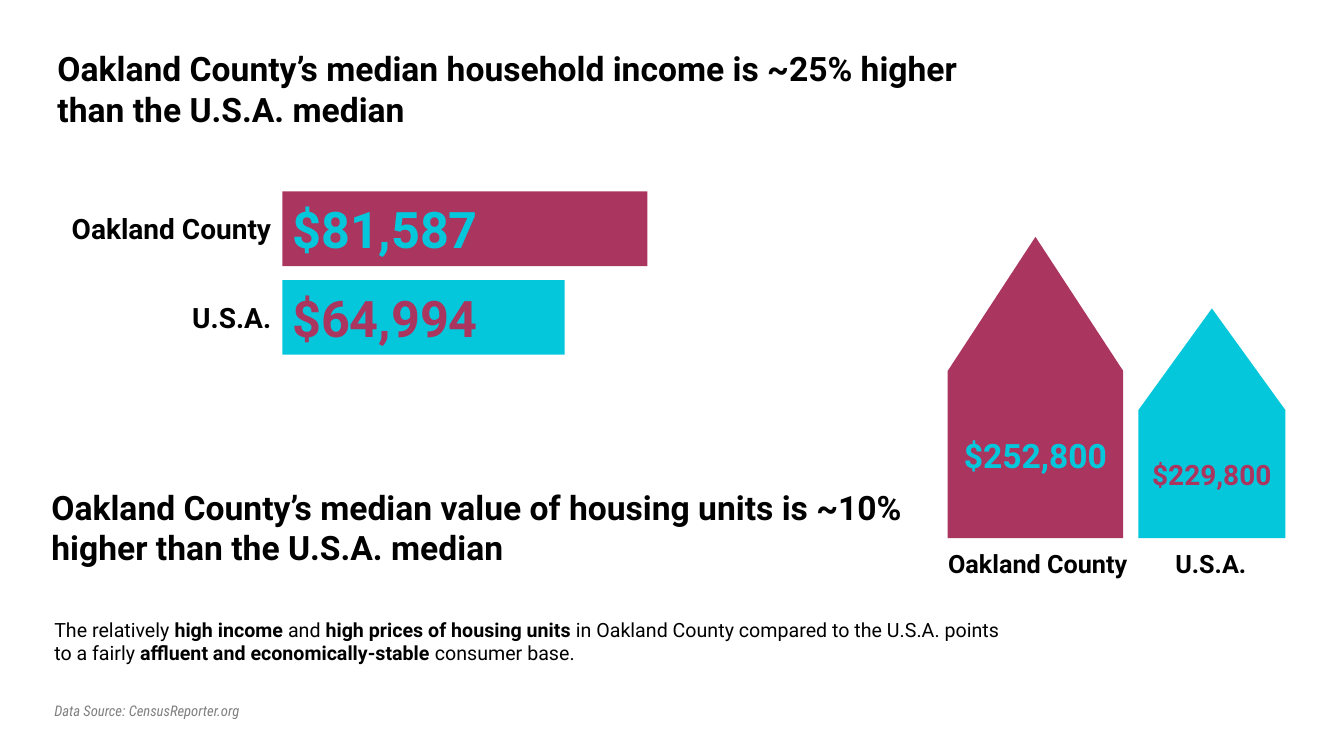
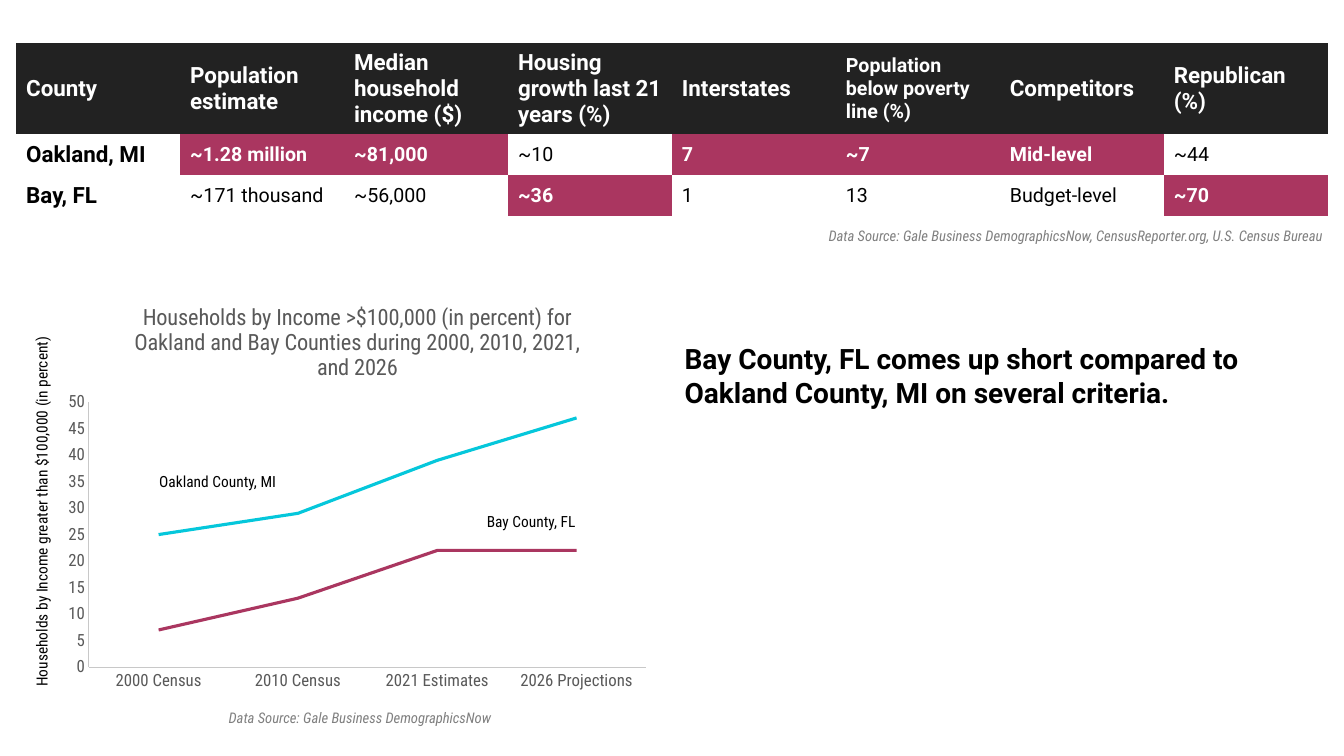
"""Builds two slides that compare Oakland County with the U.S.A. and with Bay County."""
from lxml.etree import SubElement
from pptx import Presentation
from pptx.chart.data import CategoryChartData
from pptx.dml.color import RGBColor
from pptx.enum.chart import XL_CHART_TYPE, XL_TICK_MARK
from pptx.enum.shapes import MSO_SHAPE
from pptx.enum.text import MSO_ANCHOR, PP_ALIGN
from pptx.oxml.ns import qn
from pptx.util import Inches, Pt

BERRY, CYAN, BLACK, WHITE = "AA3660", "05C7DB", "000000", "FFFFFF"
HEADER, GRAY, AXIS_TEXT, AXIS_LINE = "222222", "808080", "595959", "C8C8C8"
SANS, CONDENSED = "Roboto", "Roboto Condensed"
HEADING = {"size": 24, "bold": True, "margin": 0.13}
LABEL = {"size": 20, "bold": True, "align": PP_ALIGN.RIGHT}
SOURCE = {"size": 10.5, "color": GRAY, "name": CONDENSED, "italic": True}
CHART_LABEL = {"size": 11, "name": CONDENSED, "wrap": False}


def write(text_frame, text, size, color=BLACK, name=SANS, bold=False,
          italic=False, align=PP_ALIGN.LEFT):
    text_frame.text = text
    paragraph = text_frame.paragraphs[0]
    paragraph.alignment = align
    font = paragraph.runs[0].font
    font.size, font.name = Pt(size), name
    font.bold, font.italic = bold, italic
    font.color.rgb = RGBColor.from_string(color)
    return paragraph


def add_text(slide, text, left, top, width, height, margin=None, wrap=True,
             rotation=0, **style):
    box = slide.shapes.add_textbox(Inches(left), Inches(top), Inches(width), Inches(height))
    box.rotation = rotation
    frame = box.text_frame
    frame.word_wrap = wrap
    if margin is not None:
        frame.margin_left = frame.margin_right = Inches(margin)
        frame.margin_top = frame.margin_bottom = Inches(margin)
    return write(frame, text, **style)


presentation = Presentation()
presentation.slide_width, presentation.slide_height = Inches(13.33), Inches(7.5)
blank = presentation.slide_layouts[6]

slide = presentation.slides.add_slide(blank)
add_text(slide, "Oakland County’s median household income is ~25% higher than the U.S.A. median",
         0.44, 0.35, 9.28, 0.83, **HEADING)
add_text(slide, "Oakland County’s median value of housing units is ~10% higher than the U.S.A. median",
         0.38, 4.7, 8.81, 0.83, **HEADING)

RECTANGLE, ROOF = MSO_SHAPE.RECTANGLE, MSO_SHAPE.ISOSCELES_TRIANGLE
figures = [
    (RECTANGLE, 2.8, 1.9, 3.62, 0.74, BERRY, CYAN, "$81,587", 36, PP_ALIGN.LEFT),
    (RECTANGLE, 2.8, 2.78, 2.8, 0.74, CYAN, BERRY, "$64,994", 36, PP_ALIGN.LEFT),
    (RECTANGLE, 9.4, 3.68, 1.74, 1.66, BERRY, CYAN, "$252,800", 24, PP_ALIGN.CENTER),
    (ROOF, 9.4, 2.35, 1.74, 1.33, BERRY, CYAN, "", 24, PP_ALIGN.CENTER),
    (RECTANGLE, 11.29, 4.07, 1.46, 1.27, CYAN, BERRY, "$229,800", 20, PP_ALIGN.CENTER),
    (ROOF, 11.29, 3.06, 1.46, 1.01, CYAN, BERRY, "", 20, PP_ALIGN.CENTER),
]
for kind, left, top, width, height, fill, color, value, size, align in figures:
    shape = slide.shapes.add_shape(kind, Inches(left), Inches(top), Inches(width), Inches(height))
    shape.shadow.inherit = False
    shape.fill.solid()
    shape.fill.fore_color.rgb = RGBColor.from_string(fill)
    shape.line.fill.background()
    shape.text_frame.vertical_anchor = MSO_ANCHOR.MIDDLE
    if value:
        write(shape.text_frame, value, size, color, bold=True, align=align)

add_text(slide, "Oakland County", 0.36, 2.05, 2.43, 0.44, **LABEL)
add_text(slide, "U.S.A.", 0.36, 2.93, 2.43, 0.44, **LABEL)
house_label = {**LABEL, "size": 18}
add_text(slide, "Oakland County", 8.85, 5.39, 2.43, 0.4, **house_label)
add_text(slide, "U.S.A.", 11.36, 5.39, 1.1, 0.4, **house_label)

paragraph = add_text(slide, "The relatively ", 0.44, 6.08, 9.68, 0.57, size=14)
for text, bold in [
    ("high income ", True),
    ("and ", False),
    ("high prices of housing units ", True),
    ("in Oakland County compared to the U.S.A. points to a fairly ", False),
    ("affluent and economically-stable ", True),
    ("consumer base.", False),
]:
    run = paragraph.add_run()
    run.text = text
    run.font.name, run.font.size, run.font.bold = SANS, Pt(14), bold
    run.font.color.rgb = RGBColor.from_string(BLACK)
add_text(slide, "Data Source: CensusReporter.org", 0.44, 6.91, 2.25, 0.29, **SOURCE)

slide = presentation.slides.add_slide(blank)
rows = [
    ["County", "Population estimate", "Median household income ($)",
     "Housing growth last 21 years (%)", "Interstates",
     "Population below poverty line (%)", "Competitors", "Republican (%)"],
    ["Oakland, MI", "~1.28 million", "~81,000", "~10", "7", "~7", "Mid-level", "~44"],
    ["Bay, FL", "~171 thousand", "~56,000", "~36", "1", "13", "Budget-level", "~70"],
]
highlights = {1: (1, 2, 4, 5, 6), 2: (3, 7)}
table = slide.shapes.add_table(3, 8, Inches(0.16), Inches(0.43), Inches(13.01), Inches(1.71)).table
table.first_row = table.horz_banding = False
table._tbl.tblPr.find(qn("a:tableStyleId")).text = "{2D5ABB26-0587-4C30-8999-92F81FD0307C}"
for column in table.columns:
    column.width = Inches(13.01 / 8)
for row, height in zip(table.rows, (0.9, 0.41, 0.4)):
    row.height = Inches(height)
for row_index, texts in enumerate(rows):
    for column_index, text in enumerate(texts):
        is_header = row_index == 0
        is_highlight = column_index in highlights.get(row_index, ())
        is_large = column_index == 0 or (is_header and column_index != 5)
        fill = HEADER if is_header else BERRY if is_highlight else WHITE
        cell = table.cell(row_index, column_index)
        cell.fill.solid()
        cell.fill.fore_color.rgb = RGBColor.from_string(fill)
        cell.vertical_anchor = MSO_ANCHOR.MIDDLE
        write(cell.text_frame, text, 16 if is_large else 14,
              BLACK if fill == WHITE else WHITE, bold=is_large or fill != WHITE)

chart_data = CategoryChartData()
chart_data.categories = ["2000 Census", "2010 Census", "2021 Estimates", "2026 Projections"]
chart_data.add_series("Series 1", (7, 13, 22, 22))
chart_data.add_series("Series 2", (25, 29, 39, 47))
chart = slide.shapes.add_chart(XL_CHART_TYPE.LINE, Inches(0.56), Inches(2.83),
                               Inches(5.97), Inches(4.11), chart_data).chart
chart.has_legend = False
chart.font.name, chart.font.size = "Arial", Pt(10)
chart.font.color.rgb = RGBColor.from_string(BLACK)
chart.has_title = True
write(chart.chart_title.text_frame,
      "Households by Income >$100,000 (in percent) for Oakland and Bay Counties "
      "during 2000, 2010, 2021, and 2026",
      16, AXIS_TEXT, CONDENSED, align=PP_ALIGN.CENTER)
chart.chart_title.include_in_layout = False

plot = chart.plots[0]
plot.vary_by_categories = False
for series, color in zip(plot.series, (BERRY, CYAN)):
    series.smooth = False
    series.format.line.width = Pt(2.25)
    series.format.line.color.rgb = RGBColor.from_string(color)
for axis in (chart.category_axis, chart.value_axis):
    axis.has_major_gridlines = False
    axis.major_tick_mark = axis.minor_tick_mark = XL_TICK_MARK.NONE
    axis.format.line.width = Pt(0.75)
    axis.format.line.color.rgb = RGBColor.from_string(AXIS_LINE)
    font = axis.tick_labels.font
    font.name, font.size = CONDENSED, Pt(12)
    font.color.rgb = RGBColor.from_string(AXIS_TEXT)
chart.value_axis.minimum_scale, chart.value_axis.maximum_scale = 0, 50
chart.value_axis.major_unit = 5

plot_area = chart._chartSpace.chart.plotArea
layout = plot_area.find(qn("c:layout"))
if layout is None:
    layout = SubElement(plot_area, qn("c:layout"))
    plot_area.insert(0, layout)
manual_layout = SubElement(layout, qn("c:manualLayout"))
for tag, value in [("layoutTarget", "inner"), ("xMode", "edge"), ("yMode", "edge"),
                   ("x", "0.054"), ("y", "0.282"), ("w", "0.926"), ("h", "0.64")]:
    SubElement(manual_layout, qn("c:" + tag)).set("val", value)

add_text(slide, "Bay County, FL", 4.73, 5.03, 1.1, 0.29, **CHART_LABEL)
add_text(slide, "Oakland County, MI", 1.48, 4.63, 1.38, 0.29, **CHART_LABEL)
add_text(slide, "Households by Income greater than $100,000 (in percent)",
         -1.43, 4.92, 3.69, 0.29, rotation=270, **CHART_LABEL)
add_text(slide, "Data Source: Gale Business DemographicsNow", 2.17, 6.98, 3.34, 0.29, **SOURCE)
add_text(slide, "Data Source: Gale Business DemographicsNow, CensusReporter.org, U.S. Census Bureau",
         8.12, 2.2, 5.4, 0.28, **SOURCE)
add_text(slide, "Bay County, FL comes up short compared to Oakland County, MI on several criteria.",
         6.66, 3.26, 6.02, 0.83, **{**HEADING, "size": 20})

presentation.save("out.pptx")
